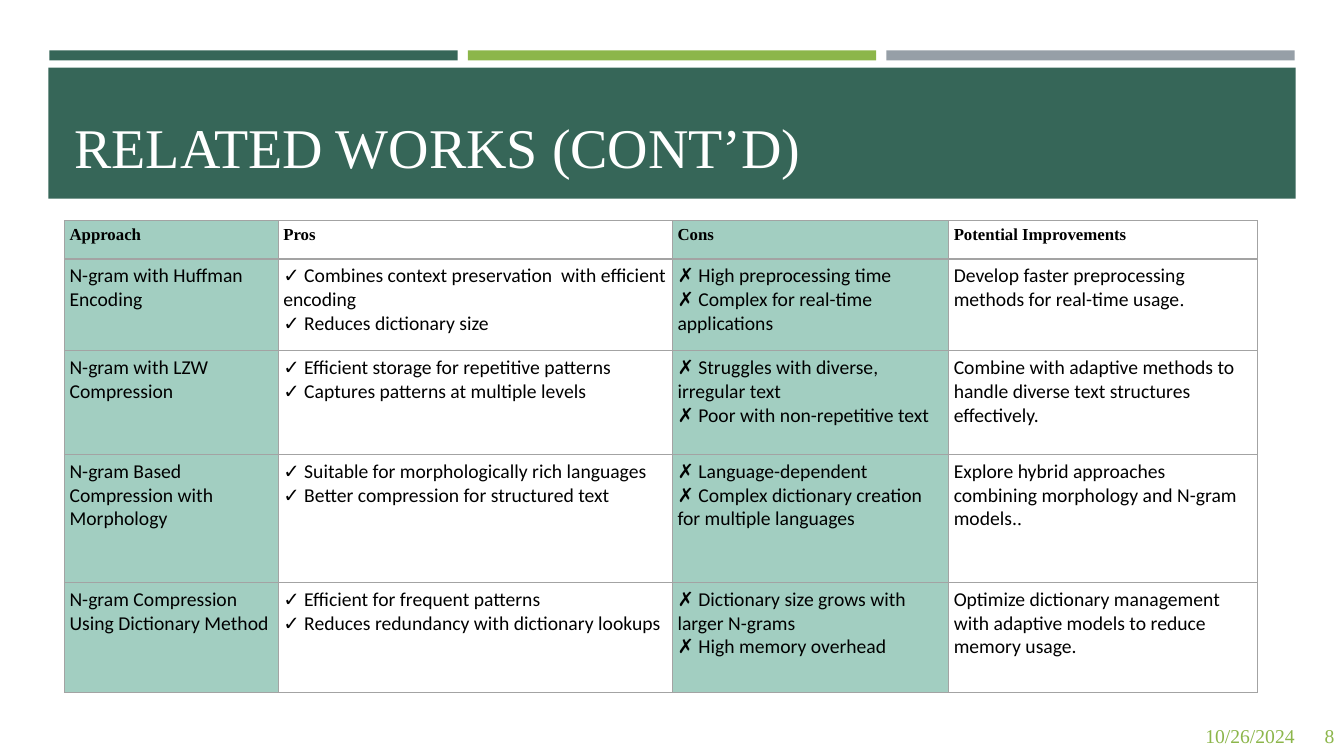
from dataclasses import dataclass

from lxml.etree import SubElement
from pptx import Presentation
from pptx.dml.color import RGBColor
from pptx.enum.shapes import MSO_SHAPE
from pptx.enum.text import MSO_ANCHOR, PP_ALIGN
from pptx.oxml.ns import qn
from pptx.slide import Slide
from pptx.table import _Cell
from pptx.text.text import _Paragraph
from pptx.util import Inches, Pt

DARK_GREEN = RGBColor(0x36, 0x66, 0x58)
LIME = RGBColor(0x8C, 0xB6, 0x4A)
GRAY = RGBColor(0x96, 0x9F, 0xA7)
MINT = RGBColor(0xA2, 0xCE, 0xC1)
BORDER_GRAY = RGBColor(0xA3, 0xA3, 0xA3)
WHITE = RGBColor(0xFF, 0xFF, 0xFF)
BLACK = RGBColor(0, 0, 0)
SERIF = "Times New Roman"
SANS = "Calibri"


@dataclass(frozen=True)
class Box:
    left: float
    top: float
    width: float
    height: float


@dataclass(frozen=True)
class Bar:
    box: Box
    color: RGBColor


@dataclass(frozen=True)
class Label:
    box: Box
    text: str
    size: int
    color: RGBColor
    align: PP_ALIGN
    anchor: MSO_ANCHOR


@dataclass(frozen=True)
class Style:
    font: str
    size: int
    color: RGBColor
    bold: bool = False


@dataclass(frozen=True)
class Approach:
    name: str
    pros: tuple[str, ...]
    cons: tuple[str, ...]
    improvement: str
    serif_ending: str = ""


HEADER_STYLE = Style(SERIF, 12, BLACK, True)
BODY_STYLE = Style(SANS, 14, BLACK)
ENDING_STYLE = Style(SERIF, 14, BLACK)

BARS = [
    Bar(Box(0.49 + 4.15 * index, 0.5, 4.05, 0.1), color)
    for index, color in enumerate((DARK_GREEN, LIME, GRAY))
] + [Bar(Box(0.48, 0.67, 12.37, 1.3), DARK_GREEN)]

LABELS = [
    Label(Box(0.64, 0.83, 12.06, 1), "RELATED WORKS (CONT’D)", 40, WHITE,
          PP_ALIGN.LEFT, MSO_ANCHOR.BOTTOM),
    Label(Box(11.49, 7.13, 1.45, 0.34), "10/26/2024", 14, LIME,
          PP_ALIGN.RIGHT, MSO_ANCHOR.MIDDLE),
    Label(Box(13.04, 7.1, 0.29, 0.4), "8", 14, LIME,
          PP_ALIGN.RIGHT, MSO_ANCHOR.MIDDLE),
]

TABLE_BOX = Box(0.64, 2.19, 11.84, 4.69)
COLUMN_WIDTHS = (2.12, 3.91, 2.74, 3.06)
ROW_HEIGHTS = (0.38, 0.91, 1.03, 1.27, 1.09)
HEADERS = ("Approach", "Pros", "Cons", "Potential Improvements")
APPROACHES = [
    Approach(
        "N-gram with Huffman Encoding",
        ("Combines context preservation  with efficient encoding", "Reduces dictionary size"),
        ("High preprocessing time", "Complex for real-time applications"),
        "Develop faster preprocessing methods for real-time usage", "."),
    Approach(
        "N-gram with LZW Compression",
        ("Efficient storage for repetitive patterns", "Captures patterns at multiple levels"),
        ("Struggles with diverse, irregular text", "Poor with non-repetitive text"),
        "Combine with adaptive methods to handle diverse text structures effectively."),
    Approach(
        "N-gram Based Compression with Morphology",
        ("Suitable for morphologically rich languages", "Better compression for structured text"),
        ("Language-dependent", "Complex dictionary creation for multiple languages"),
        "Explore hybrid approaches combining morphology and N-gram models.", "."),
    Approach(
        "N-gram Compression Using Dictionary Method",
        ("Efficient for frequent patterns", "Reduces redundancy with dictionary lookups"),
        ("Dictionary size grows with larger N-grams", "High memory overhead"),
        "Optimize dictionary management with adaptive models to reduce memory usage."),
]


def to_inches(box: Box) -> tuple[Inches, Inches, Inches, Inches]:
    return Inches(box.left), Inches(box.top), Inches(box.width), Inches(box.height)


def add_run(paragraph: _Paragraph, text: str, style: Style) -> None:
    run = paragraph.add_run()
    run.text = text
    run.font.name = style.font
    run.font.size = Pt(style.size)
    run.font.bold = style.bold
    run.font.color.rgb = style.color


def add_lines(paragraph: _Paragraph, lines: tuple[str, ...], style: Style) -> None:
    for index, line in enumerate(lines):
        if index:
            paragraph.add_line_break()
        add_run(paragraph, line, style)


def draw_bar(slide: Slide, bar: Bar) -> None:
    shape = slide.shapes.add_shape(MSO_SHAPE.RECTANGLE, *to_inches(bar.box))
    shape.shadow.inherit = False
    shape.fill.solid()
    shape.fill.fore_color.rgb = bar.color
    shape.line.fill.background()


def draw_label(slide: Slide, label: Label) -> None:
    text_frame = slide.shapes.add_textbox(*to_inches(label.box)).text_frame
    text_frame.word_wrap = True
    text_frame.vertical_anchor = label.anchor
    paragraph = text_frame.paragraphs[0]
    paragraph.alignment = label.align
    add_run(paragraph, label.text, Style(SERIF, label.size, label.color))


def format_cell(cell: _Cell, fill: RGBColor) -> None:
    cell.margin_left = cell.margin_right = Inches(0.05)
    cell.margin_top = cell.margin_bottom = Inches(0.05)
    properties = cell._tc.get_or_add_tcPr()
    for side in ("lnL", "lnR", "lnT", "lnB"):
        line = SubElement(properties, qn(f"a:{side}"), w=str(Pt(1)))
        line_fill = SubElement(line, qn("a:solidFill"))
        SubElement(line_fill, qn("a:srgbClr"), val=str(BORDER_GRAY))
    cell.fill.solid()
    cell.fill.fore_color.rgb = fill


def draw_table(slide: Slide) -> None:
    table = slide.shapes.add_table(
        len(ROW_HEIGHTS), len(COLUMN_WIDTHS), *to_inches(TABLE_BOX)).table
    table.first_row = table.horz_banding = False
    for column, width in zip(table.columns, COLUMN_WIDTHS):
        column.width = Inches(width)
    for row, height in zip(table.rows, ROW_HEIGHTS):
        row.height = Inches(height)
        for index, cell in enumerate(row.cells):
            format_cell(cell, WHITE if index % 2 else MINT)

    # Header row
    for column_index, header in enumerate(HEADERS):
        add_run(table.cell(0, column_index).text_frame.paragraphs[0], header, HEADER_STYLE)

    # One row per approach
    for row_index, approach in enumerate(APPROACHES, start=1):
        contents = (
            (approach.name,),
            tuple(f"✓ {pro}" for pro in approach.pros),
            tuple(f"✗ {con}" for con in approach.cons),
            (approach.improvement,),
        )
        for column_index, lines in enumerate(contents):
            paragraph = table.cell(row_index, column_index).text_frame.paragraphs[0]
            add_lines(paragraph, lines, BODY_STYLE)
        if approach.serif_ending:
            add_run(paragraph, approach.serif_ending, ENDING_STYLE)


def main() -> None:
    presentation = Presentation()
    presentation.slide_width = Inches(13.33)
    presentation.slide_height = Inches(7.5)
    slide = presentation.slides.add_slide(presentation.slide_layouts[6])
    # Bars and title band, then text, then table
    for bar in BARS:
        draw_bar(slide, bar)
    for label in LABELS:
        draw_label(slide, label)
    draw_table(slide)
    presentation.save("out.pptx")


if __name__ == "__main__":
    main()
